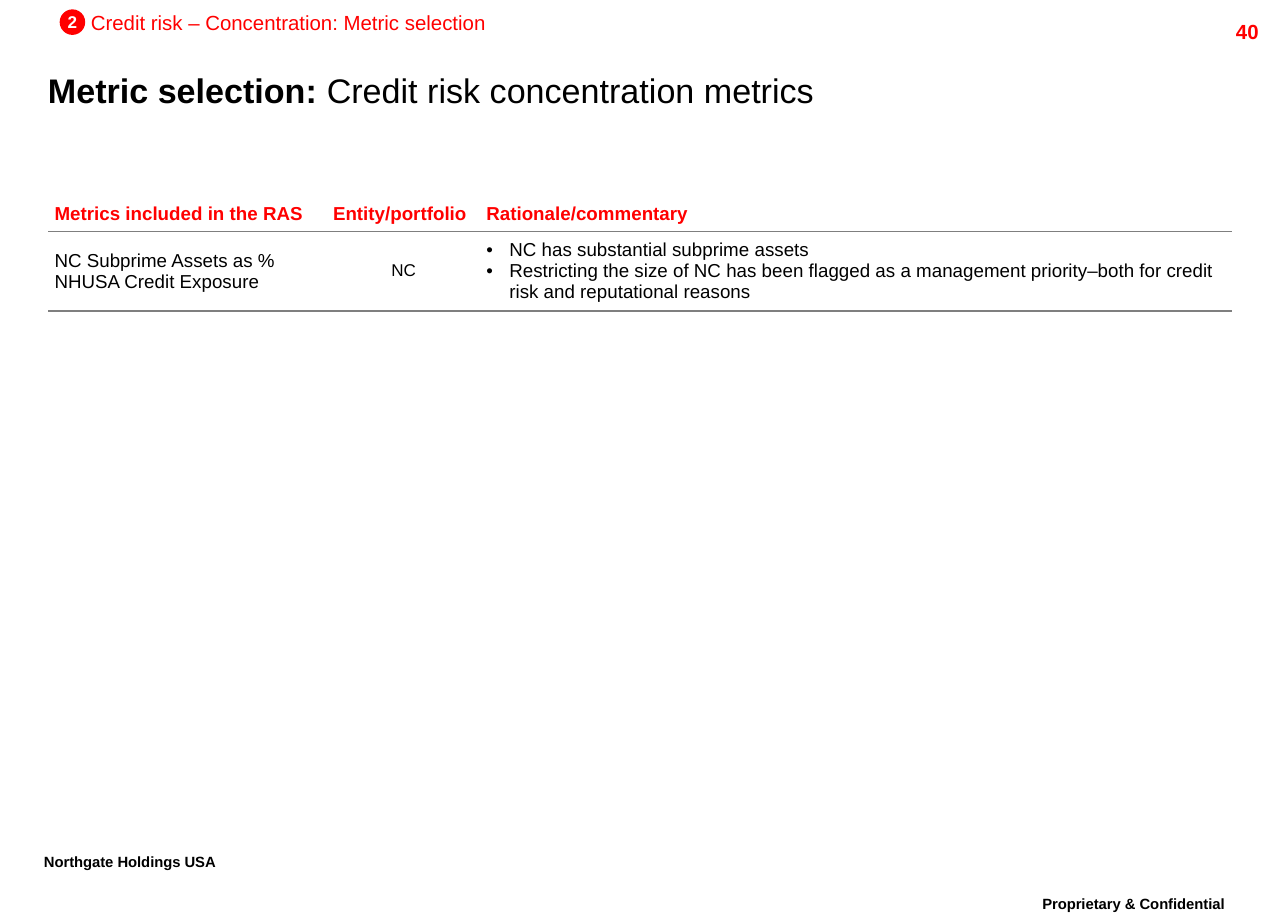
"""Build the slide on credit risk concentration metrics."""
from pptx import Presentation
from pptx.dml.color import RGBColor
from pptx.enum.shapes import MSO_SHAPE as Shape
from pptx.enum.text import MSO_ANCHOR as Anchor, MSO_AUTO_SIZE as AutoSize, PP_ALIGN as Align
from pptx.oxml import parse_xml
from pptx.oxml.ns import nsdecls
from pptx.util import Pt

COLORS = {"red": "FF0000", "black": "000000", "white": "FFFFFF", "rule": "7F7F7F"}
FONT = "Arial"
TIGHT = 0.86
INSET = 3.6
INDENT = 13.5

TITLE = [("Metric selection: ", True), ("Credit risk concentration metrics", False)]
TITLE_BOX = (20.9, 40.7, 735, 28)
SECTION_NUMBER = "2"
SECTION_BOX = (35, 5.5, 15, 15)

LABELS = [
    {"text": "Proprietary & Confidential", "box": (586.8, 522.3, 157, 25.2),
     "look": {"size": 15, "bold": True, "spacing": TIGHT, "align": Align.CENTER, "raised": True}},
    {"text": "Northgate Holdings USA", "box": (18.7, 497.5, 137.5, 25.2),
     "look": {"size": 15, "bold": True, "spacing": TIGHT, "raised": True}},
    {"text": "40", "box": (673.9, 7.9, 72, 17.3),
     "look": {"size": 12, "bold": True, "color": "red", "align": Align.RIGHT}},
    {"text": "Credit risk – Concentration: Metric selection", "box": (53.3, 5.8, 245, 14.4),
     "look": {"size": 12, "color": "red"}, "insets": (0, 0, 0, 0)},
]

HEADINGS = ["Metrics included in the RAS", "Entity/portfolio", "Rationale/commentary"]
METRIC = "NC Subprime Assets as % NHUSA Credit Exposure"
ENTITY = "NC"
RATIONALE = [
    "NC has substantial subprime assets",
    "Restricting the size of NC has been flagged as a management priority–both for credit "
    "risk and reputational reasons",
]
TABLE_ORIGIN = (28.4, 115.2)
COLUMN_WIDTHS = [163.5, 90, 441]
ROW_HEIGHTS = [20.5, 46.8]

HEADING_LOOK = {"size": 11, "bold": True, "color": "red"}
ROWS = [
    [([heading], HEADING_LOOK, (INSET,) * 4) for heading in HEADINGS],
    [([METRIC], {"size": 11}, (INSET, 0.7, 0.7, 0)),
     ([ENTITY], {"size": 10, "align": Align.CENTER}, (INSET,) * 4),
     (RATIONALE, {"size": 11, "bullet": True}, (INSET,) * 4)],
]


def rgb(name):
    return RGBColor.from_string(COLORS[name])


def points(values):
    return [Pt(value) for value in values]


def set_insets(target, insets):
    for side, inset in zip(("left", "top", "right", "bottom"), insets):
        setattr(target, f"margin_{side}", Pt(inset))


def add_run(paragraph, text, size, bold=False, color="black"):
    run = paragraph.add_run()
    run.text = text
    for name, value in {"name": FONT, "size": Pt(size), "bold": bold}.items():
        setattr(run.font, name, value)
    run.font.color.rgb = rgb(color)
    return run


def add_bullet(paragraph):
    paragraph.level = 1
    properties = paragraph._p.get_or_add_pPr()
    properties.set("marL", str(Pt(INDENT)))
    properties.set("indent", str(-Pt(INDENT)))
    for xml in (f'<a:buClr {nsdecls("a")}><a:srgbClr val="{COLORS["black"]}"/></a:buClr>',
                f'<a:buFont {nsdecls("a")} typeface="{FONT}"/>',
                f'<a:buChar {nsdecls("a")} char="•"/>'):
        properties.append(parse_xml(xml))


def write(frame, lines, size, bold=False, color="black", align=Align.LEFT,
          spacing=1.0, bullet=False, raised=False):
    for index, line in enumerate(lines):
        paragraph = frame.add_paragraph() if index else frame.paragraphs[0]
        if bullet:
            add_bullet(paragraph)
        paragraph.alignment = align
        paragraph.line_spacing = spacing
        run = add_run(paragraph, line, size, bold, color)
        if raised:
            run._r.get_or_add_rPr().set("baseline", "30000")


def rule_cell(cell, ruled_sides):
    properties = cell._tc.get_or_add_tcPr()
    for side in "LRTB":
        paint = (f'<a:solidFill><a:srgbClr val="{COLORS["rule"]}"/></a:solidFill>'
                 if side in ruled_sides else "<a:noFill/>")
        properties.append(parse_xml(
            f'<a:ln{side} {nsdecls("a")} w="{Pt(0.75)}">{paint}</a:ln{side}>'))


def add_title(slide):
    title = slide.shapes.title
    title.left, title.top, title.width, title.height = points(TITLE_BOX)
    frame = title.text_frame
    for name, value in {"auto_size": AutoSize.NONE, "vertical_anchor": Anchor.TOP,
                        "word_wrap": True}.items():
        setattr(frame, name, value)
    heading = frame.paragraphs[0]
    heading.alignment = Align.LEFT
    heading.line_spacing = TIGHT
    for text, bold in TITLE:
        add_run(heading, text, 20, bold)


def add_label(slide, label):
    frame = slide.shapes.add_textbox(*points(label["box"])).text_frame
    frame.word_wrap = True
    set_insets(frame, label.get("insets", (7.2, 3.6, 7.2, 3.6)))
    write(frame, [label["text"]], **label["look"])


def add_section_badge(slide):
    badge = slide.shapes.add_shape(Shape.OVAL, *points(SECTION_BOX))
    badge.shadow.inherit = False
    badge.fill.solid()
    badge.fill.fore_color.rgb = rgb("red")
    badge.line.fill.background()
    frame = badge.text_frame
    frame.word_wrap = False
    frame.vertical_anchor = Anchor.MIDDLE
    set_insets(frame, (0, 0, 0, 0))
    write(frame, [SECTION_NUMBER], 10, True, "white", Align.CENTER)


def add_metrics_table(slide):
    size = (sum(COLUMN_WIDTHS), sum(ROW_HEIGHTS))
    table = slide.shapes.add_table(
        len(ROWS), len(HEADINGS), *points(TABLE_ORIGIN + size)).table
    table.first_row = table.horz_banding = False
    for column, width in zip(table.columns, COLUMN_WIDTHS):
        column.width = Pt(width)
    for row, height in zip(table.rows, ROW_HEIGHTS):
        row.height = Pt(height)
    for row_index, row in enumerate(ROWS):
        for column_index, (lines, look, insets) in enumerate(row):
            cell = table.cell(row_index, column_index)
            cell.vertical_anchor = Anchor.MIDDLE
            set_insets(cell, insets)
            rule_cell(cell, "TB" if row_index else "B")
            if row_index:
                cell.fill.solid()
                cell.fill.fore_color.rgb = rgb("white")
            else:
                cell.fill.background()
            write(cell.text_frame, lines, **look)


def main():
    deck = Presentation()
    deck.slide_width, deck.slide_height = Pt(756), Pt(540)
    slide = deck.slides.add_slide(deck.slide_layouts[5])
    add_title(slide)
    for label in LABELS:
        add_label(slide, label)
    add_metrics_table(slide)
    add_section_badge(slide)
    deck.save("out.pptx")


if __name__ == "__main__":
    main()
